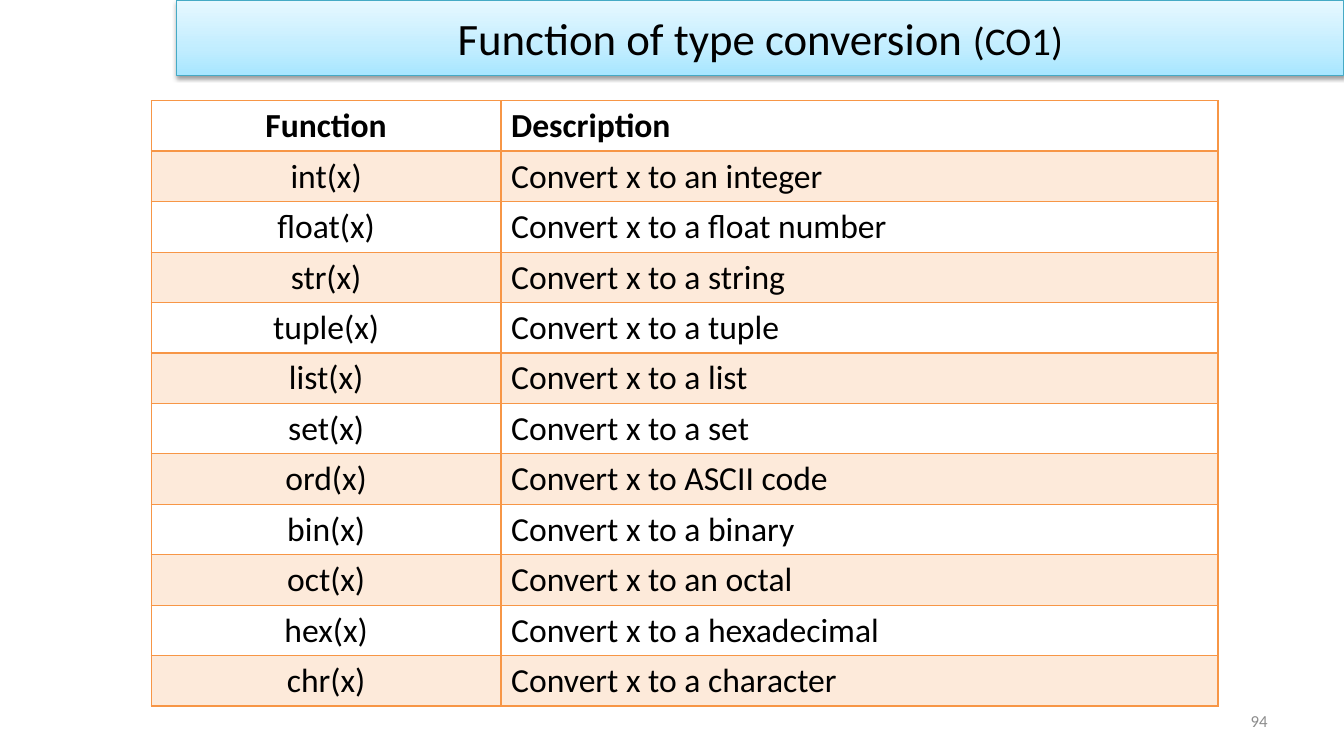
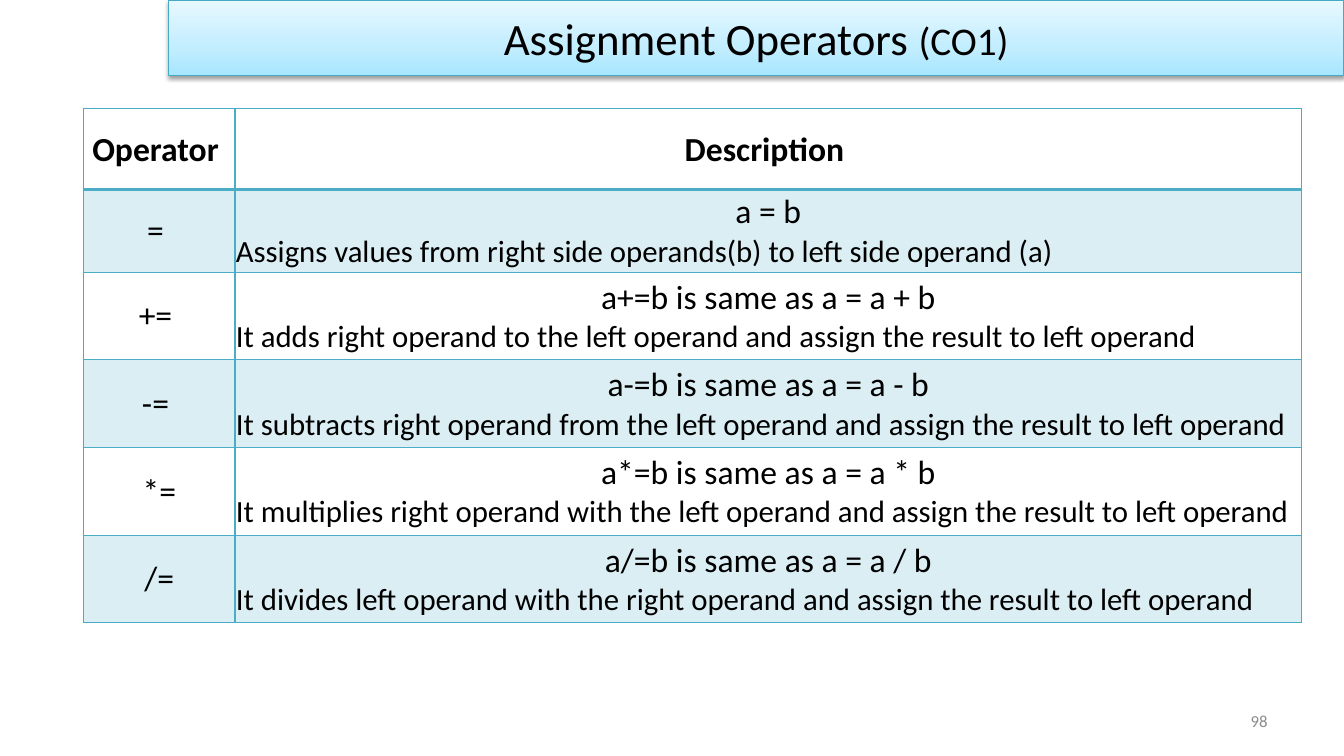
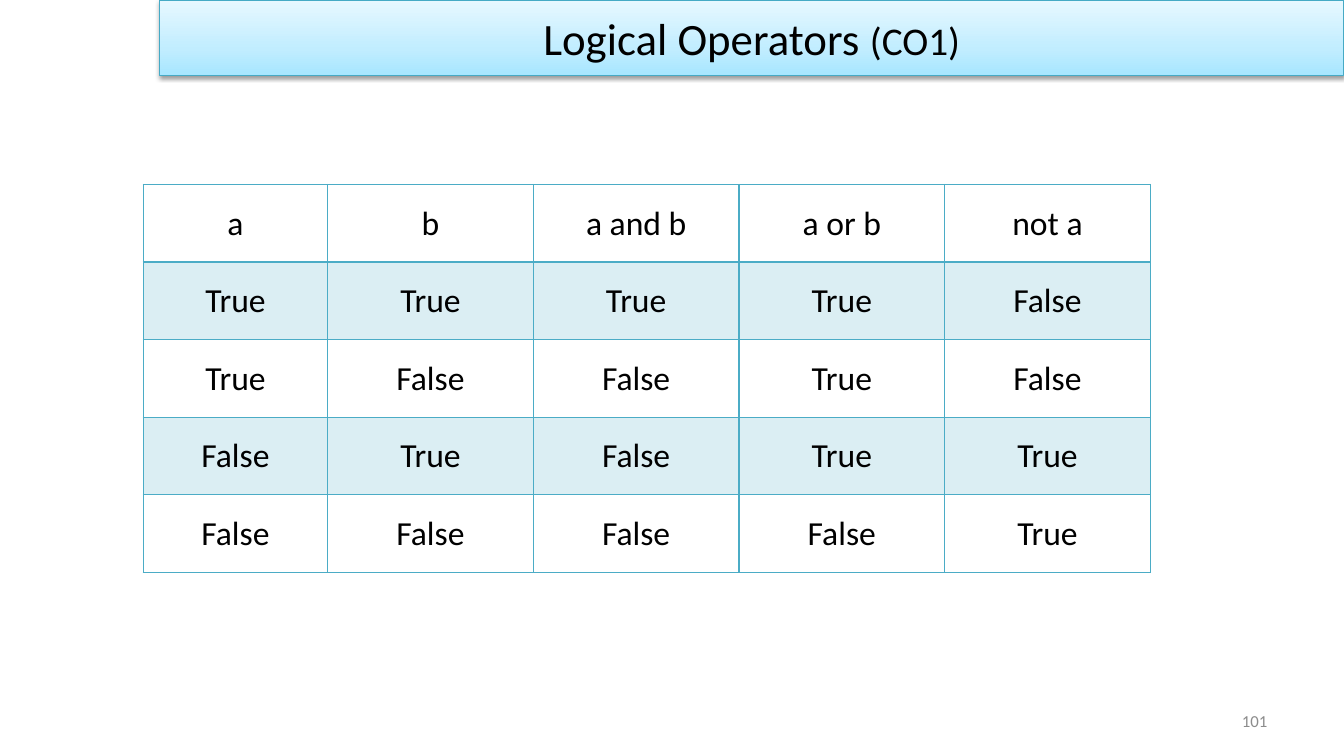
from lxml import etree
from pptx import Presentation
from pptx.dml.color import RGBColor
from pptx.enum.shapes import MSO_SHAPE
from pptx.enum.text import MSO_ANCHOR, PP_ALIGN
from pptx.oxml import parse_xml
from pptx.oxml.ns import nsdecls, qn
from pptx.util import Inches, Pt

RECTANGLE = MSO_SHAPE.RECTANGLE
TOP, MIDDLE = MSO_ANCHOR.TOP, MSO_ANCHOR.MIDDLE
LEFT, CENTER, RIGHT = PP_ALIGN.LEFT, PP_ALIGN.CENTER, PP_ALIGN.RIGHT

BLACK = RGBColor(0x00, 0x00, 0x00)
GRAY = RGBColor(0x8C, 0x8C, 0x8C)
ORANGE = RGBColor(0xF7, 0x96, 0x46)
TEAL = RGBColor(0x4B, 0xAC, 0xC6)
BAND_LINE = RGBColor(0x46, 0xAA, 0xC5)
BAND_BOTTOM = RGBColor(0xA7, 0xE6, 0xFF)
BAND_MIDDLE = RGBColor(0xC1, 0xED, 0xFF)
BAND_TOP = RGBColor(0xE7, 0xF8, 0xFF)

FONT = "Calibri"
SLIDE_WIDTH, SLIDE_HEIGHT = 13.33, 7.5


class Lesson:
    """Holds the deck, its style and the current slide."""

    def __init__(self):
        self.deck = Presentation()
        self.deck.slide_width = Inches(SLIDE_WIDTH)
        self.deck.slide_height = Inches(SLIDE_HEIGHT)
        self.page = None

    def style(self, para, size, color=BLACK, align=LEFT, bold=False):
        para.alignment = align
        para.font.name = FONT
        para.font.size = Pt(size)
        para.font.color.rgb = color
        para.font.bold = bold

    def add_page(self, title, number, band_left):
        self.page = self.deck.slides.add_slide(self.deck.slide_layouts[6])
        self.page_number(number)
        self.title_band(title, band_left)

    def page_number(self, number):
        box = self.page.shapes.add_textbox(Inches(9.56), Inches(6.95), Inches(3.11), Inches(0.4))
        frame = box.text_frame
        frame.word_wrap = True
        frame.vertical_anchor = MIDDLE
        frame.text = str(number)
        self.style(frame.paragraphs[0], 12, GRAY, RIGHT)

    def title_band(self, title, left):
        band = self.page.shapes.add_shape(
            RECTANGLE, Inches(left), 0, Inches(SLIDE_WIDTH - left), Inches(0.75))
        band.line.color.rgb = BAND_LINE
        band.line.width = Pt(0.75)
        self.band_effects(band)
        frame = band.text_frame
        frame.word_wrap = True
        frame.vertical_anchor = MIDDLE
        para = frame.paragraphs[0]
        self.style(para, 32, align=CENTER)
        para.add_run().text = title + " "
        span = para.add_run()
        span.text = "(CO1)"
        span.font.size = Pt(28)

    def band_effects(self, band):
        # Three-stop gradient, light at the top, and a soft shadow below
        stops = "".join(
            f'<a:gs pos="{percent * 1000}"><a:srgbClr val="{color}"/></a:gs>'
            for percent, color in ((0, BAND_BOTTOM), (35, BAND_MIDDLE), (100, BAND_TOP)))
        gradient = parse_xml(
            f'<a:gradFill {nsdecls("a")} rotWithShape="1"><a:gsLst>{stops}</a:gsLst>'
            '<a:lin ang="16200000" scaled="0"/></a:gradFill>')
        shadow = parse_xml(
            f'<a:effectLst {nsdecls("a")}><a:outerShdw blurRad="{Pt(3.1)}" dist="{Pt(1.6)}" '
            'dir="5400000" rotWithShape="0"><a:srgbClr val="000000"><a:alpha val="38000"/>'
            '</a:srgbClr></a:outerShdw></a:effectLst>')
        outline = band.line._get_or_add_ln()
        outline.addprevious(gradient)
        outline.addnext(shadow)

    def table(self, left, top, widths, heights, rows, color, aligns,
              bold_header=True, tight=True):
        table = self.page.shapes.add_table(
            len(rows), len(widths), Inches(left), Inches(top),
            Inches(sum(widths)), Inches(sum(heights))).table
        table.first_row = table.horz_banding = False
        for column, width in zip(table.columns, widths):
            column.width = Inches(width)
        for row_index, (height, texts) in enumerate(zip(heights, rows)):
            table.rows[row_index].height = Inches(height)
            for column_index, text in enumerate(texts):
                cell = table.cell(row_index, column_index)
                self.cell_text(cell, text, aligns[column_index],
                               bold_header and row_index == 0, tight)
                self.cell_borders(cell, color, row_index)
                self.cell_fill(cell, color, shaded=row_index % 2 == 1)

    def cell_text(self, cell, text, align, bold, tight):
        cell.vertical_anchor = MIDDLE if tight else TOP
        if tight:
            cell.margin_left = cell.margin_right = cell.margin_top = Inches(0.01)
            cell.margin_bottom = 0
        cell.text = text
        main, *details = cell.text_frame.paragraphs
        self.style(main, 24, align=align, bold=bold)
        for para in details:
            self.style(para, 22)

    def cell_borders(self, cell, color, row_index):
        # The rule below the header is twice as heavy
        heavy = {0: "lnB", 1: "lnT"}.get(row_index)
        for side in ("lnL", "lnR", "lnT", "lnB"):
            width = Pt(2 if side == heavy else 1)
            cell._tc.get_or_add_tcPr().append(parse_xml(
                f'<a:{side} {nsdecls("a")} w="{width}"><a:solidFill>'
                f'<a:srgbClr val="{color}"/></a:solidFill></a:{side}>'))

    def cell_fill(self, cell, color, shaded):
        if not shaded:
            cell.fill.background()
            return
        cell.fill.solid()
        cell.fill.fore_color.rgb = color
        tint = cell._tc.tcPr.find(qn("a:solidFill")).find(qn("a:srgbClr"))
        etree.SubElement(tint, qn("a:alpha")).set("val", "20000")


def main():
    lesson = Lesson()

    # Type conversion
    conversions = [
        ("int", "an integer"), ("float", "a float number"), ("str", "a string"),
        ("tuple", "a tuple"), ("list", "a list"), ("set", "a set"),
        ("ord", "ASCII code"), ("bin", "a binary"), ("oct", "an octal"),
        ("hex", "a hexadecimal"), ("chr", "a character"),
    ]
    rows = [("Function", "Description")]
    rows += [(f"{name}(x)", f"Convert x to {result}") for name, result in conversions]
    lesson.add_page("Function of type conversion", 94, 1.75)
    lesson.table(1.5, 1, [3.47, 7.11], [0.5] * len(rows), rows, ORANGE,
                 [CENTER, LEFT], tight=False)

    # Assignment operators
    rows = [
        ("Operator ", "Description "),
        ("= ", "a = b\nAssigns values from right side operands(b) to left side operand (a)"),
    ]
    arithmetic = [
        ("+", "+= ", "adds right operand to the left operand"),
        ("-", "-= ", "subtracts right operand from the left operand"),
        ("*", "*=", "multiplies right operand with the left operand"),
        ("/", "/=", "divides left operand with the right operand"),
    ]
    rows += [
        (label, f"a{sign}=b is same as a = a {sign} b\n"
                f"It {action} and assign the result to left operand")
        for sign, label, action in arithmetic]
    lesson.add_page("Assignment Operators", 98, 1.67)
    lesson.table(0.83, 1.08, [1.5, 10.58], [0.8, 0.82] + [0.87] * len(arithmetic),
                 rows, TEAL, [CENTER, CENTER])

    # Logical operators
    rows = [("a", "b", "a and b", "a or b", "not a")]
    rows += [
        tuple(str(value) for value in (a, b, a and b, a or b, not a))
        for a in (True, False) for b in (True, False)]
    lesson.add_page("Logical Operators", 101, 1.58)
    lesson.table(1.42, 1.83, [1.83] + [2.04] * 4, [0.77] * len(rows), rows, TEAL,
                 [CENTER] * 5, bold_header=False)

    lesson.deck.save("out.pptx")


if __name__ == "__main__":
    main()
